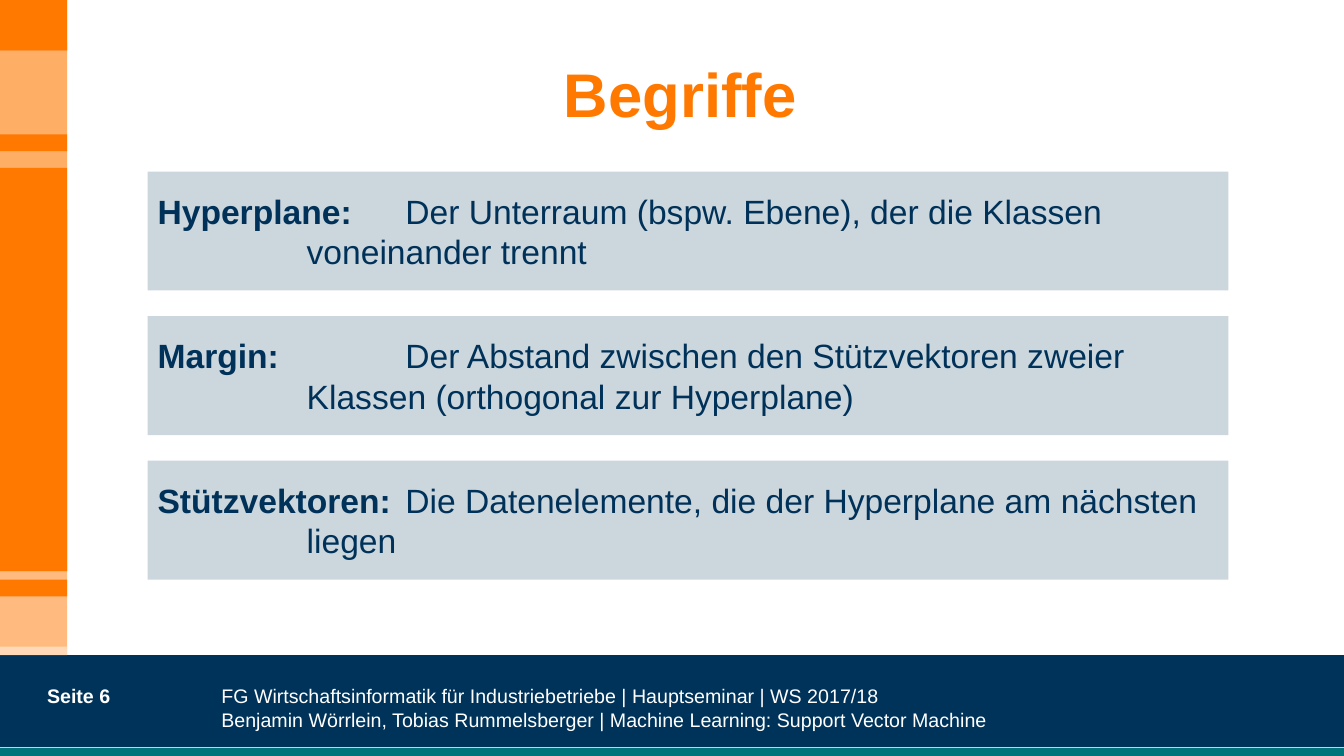
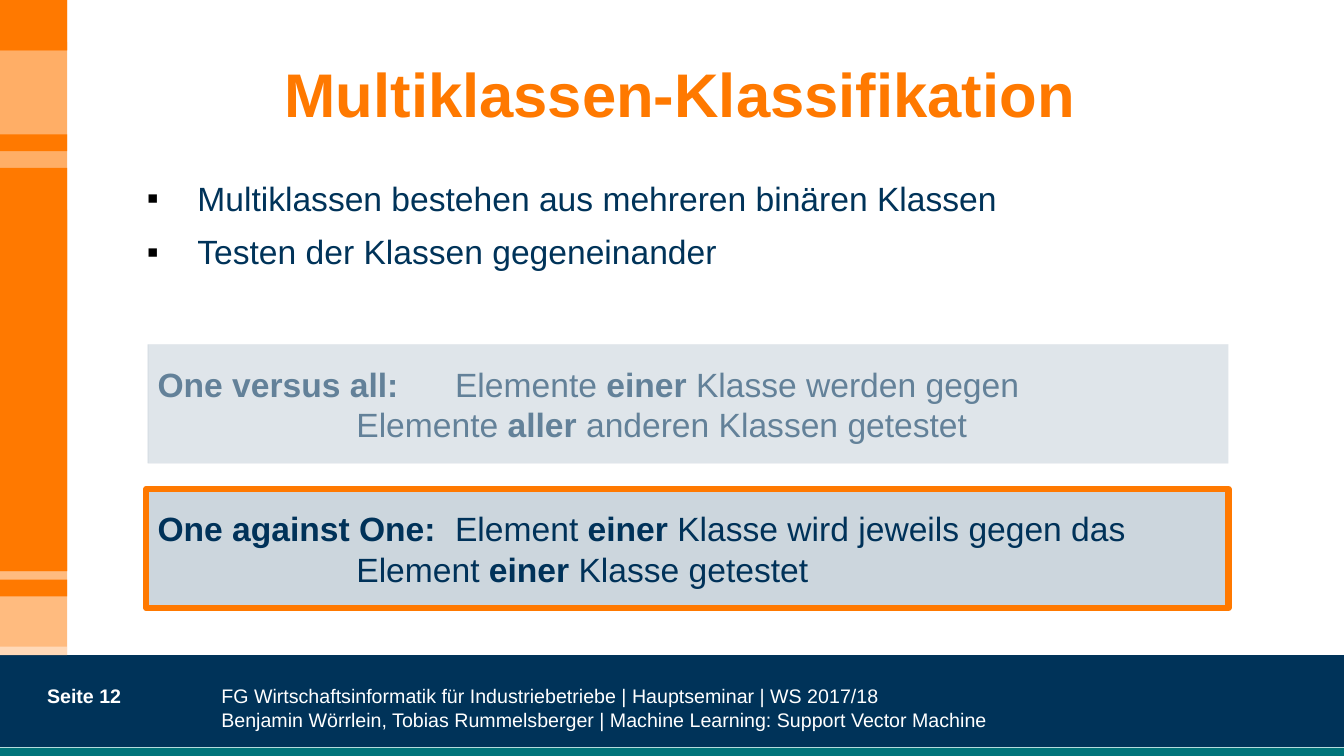
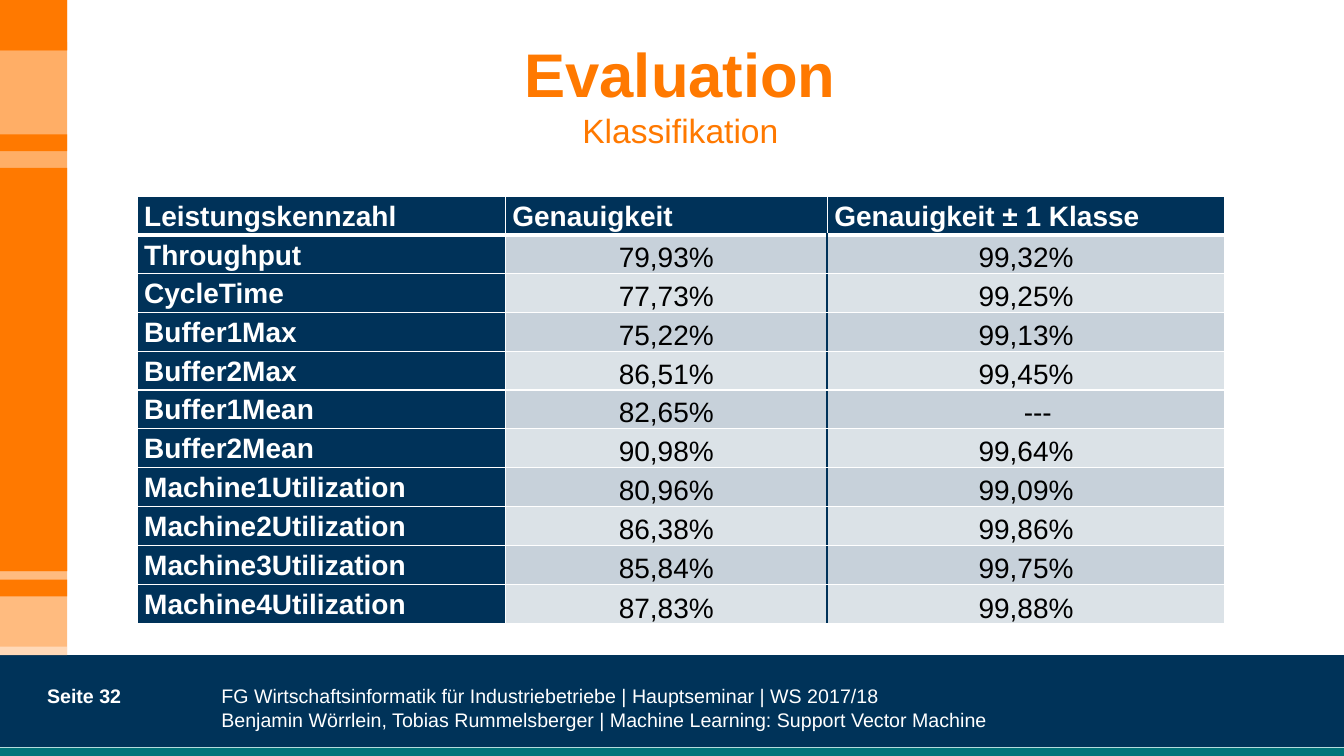
from dataclasses import dataclass

from lxml import etree
from pptx import Presentation
from pptx.dml.color import RGBColor
from pptx.enum.shapes import MSO_CONNECTOR, MSO_SHAPE
from pptx.enum.text import MSO_ANCHOR, MSO_AUTO_SIZE, PP_ALIGN
from pptx.oxml.ns import qn
from pptx.util import Pt

RECT = MSO_SHAPE.RECTANGLE
LINE = MSO_CONNECTOR.STRAIGHT
TOP, MID, LOW = MSO_ANCHOR.TOP, MSO_ANCHOR.MIDDLE, MSO_ANCHOR.BOTTOM
LEFT, CENTER, JUST = PP_ALIGN.LEFT, PP_ALIGN.CENTER, PP_ALIGN.JUSTIFY
FIXED = MSO_AUTO_SIZE.NONE


@dataclass(frozen=True)
class Theme:
    font: str = "Arial"
    orange: str = "FF7900"
    navy: str = "003359"
    ink: str = "003259"
    teal: str = "00747A"
    mint: str = "B4DCDC"
    white: str = "FFFFFF"
    black: str = "000000"
    title: int = 44
    body: int = 24
    cell: int = 20
    foot: int = 14


T = Theme()
WIDE, HIGH = 960, 540
SIDE = 48
BOX_X, BOX_W, BOX_H, STEP = 105.5, 772, 85, 103.3
FOOTER = (
    "FG Wirtschaftsinformatik für Industriebetriebe | Hauptseminar | WS 2017/18\n"
    "Benjamin Wörrlein, Tobias Rummelsberger | Machine Learning: Support Vector Machine"
)

# Side bands and footer bar: left, top, width, height, colour, opacity
BANDS = [
    (0, 0, SIDE, 408, T.orange, 60),
    (0, 468, WIDE, 72, T.navy, 100),
    (0, 150, SIDE, 72, T.orange, 100),
    (0, 222, SIDE, 246, T.orange, 50),
    (0, 120, SIDE, 288, T.orange, 100),
    (0, 30, SIDE, 6, T.orange, 50),
    (0, 462, SIDE, 6, T.white, 45),
    (0, 534, WIDE, 6, T.teal, 100),
    (0, 0, SIDE, 36, T.orange, 100),
    (0, 96, SIDE, 12, T.orange, 100),
    (0, 414, SIDE, 12, T.orange, 100),
]

TERMS = [
    "*Hyperplane:*\tDer Unterraum (bspw. Ebene), der die Klassen\n\tvoneinander trennt",
    "*Margin:*\t\tDer Abstand zwischen den Stützvektoren zweier\n"
    "\tKlassen (orthogonal zur Hyperplane)",
    "*Stützvektoren:*\tDie Datenelemente, die der Hyperplane am nächsten\n\tliegen",
]
MODES = [
    "*One versus all:*\tElemente *einer* Klasse werden gegen\n"
    "\tElemente *aller* anderen Klassen getestet",
    "*One against One:*\tElement *einer* Klasse wird jeweils gegen das\n"
    "\tElement *einer* Klasse getestet",
]
POINTS = [
    "Multiklassen bestehen aus mehreren binären Klassen",
    "Testen der Klassen gegeneinander",
]
SCORES = [
    ("Leistungskennzahl", "Genauigkeit", "Genauigkeit ± 1 Klasse"),
    ("Throughput", "79,93%", "99,32%"),
    ("CycleTime", "77,73%", "99,25%"),
    ("Buffer1Max", "75,22%", "99,13%"),
    ("Buffer2Max", "86,51%", "99,45%"),
    ("Buffer1Mean", "82,65%", "---"),
    ("Buffer2Mean", "90,98%", "99,64%"),
    ("Machine1Utilization", "80,96%", "99,09%"),
    ("Machine2Utilization", "86,38%", "99,86%"),
    ("Machine3Utilization", "85,84%", "99,75%"),
    ("Machine4Utilization", "87,83%", "99,88%"),
]


def rgb(hue):
    return RGBColor.from_string(hue)


def sub(node, tag, **attrs):
    return etree.SubElement(node, qn(tag), attrs)


def paint(owner, props, hue, alpha=100):
    """Fill a shape or cell; props is the XML node that holds the fill."""
    owner.fill.solid()
    owner.fill.fore_color.rgb = rgb(hue)
    if alpha < 100:
        color = props.xpath("./a:solidFill/a:srgbClr")[0]
        sub(color, "a:alpha", val=str(alpha * 1000))


def style(item, size, hue, bold=None):
    font = item.font
    font.name, font.size, font.bold = T.font, Pt(size), bold
    font.color.rgb = rgb(hue)


def write(para, text):
    """Fill a paragraph; words between asterisks are bold."""
    for row, line in enumerate(text.split("\n")):
        if row:
            para.add_line_break()
        for turn, part in enumerate(line.split("*")):
            if part:
                run = para.add_run()
                run.text = part
                if turn % 2:
                    run.font.bold = True


def rect(slide, x, y, w, h, hue=None, alpha=100):
    shape = slide.shapes.add_shape(RECT, Pt(x), Pt(y), Pt(w), Pt(h))
    shape.shadow.inherit = False
    shape.line.fill.background()
    if hue:
        paint(shape, shape.element.spPr, hue, alpha)
    else:
        shape.fill.background()
    return shape


def label(slide, x, y, w, h, text, bold=None):
    frame = slide.shapes.add_textbox(Pt(x), Pt(y), Pt(w), Pt(h)).text_frame
    frame.word_wrap = True
    para = frame.paragraphs[0]
    write(para, text)
    style(para, T.foot, T.white, bold)


def card(slide, y, text, stops):
    """Tinted box with a term and its meaning, aligned by tab stops."""
    frame = rect(slide, BOX_X, y, BOX_W, BOX_H, T.ink, 20).text_frame
    frame.word_wrap = True
    frame.vertical_anchor = MID
    para = frame.paragraphs[0]
    para.alignment = LEFT
    tabs = sub(para._p.get_or_add_pPr(), "a:tabLst")
    for stop in stops:
        sub(tabs, "a:tab", pos=str(Pt(stop)), algn="l")
    write(para, text)
    style(para, T.body, T.ink)


def bullets(slide, x, y, w, h, items):
    frame = slide.shapes.add_textbox(Pt(x), Pt(y), Pt(w), Pt(h)).text_frame
    frame.word_wrap = True
    frame.margin_left = frame.margin_right = 0
    frame.margin_top = frame.margin_bottom = 0
    for i, item in enumerate(items):
        para = frame.add_paragraph() if i else frame.paragraphs[0]
        props = para._p.get_or_add_pPr()
        props.set("marL", str(Pt(36)))
        props.set("indent", str(Pt(-36)))
        sub(sub(props, "a:buClr"), "a:srgbClr", val=T.black)
        sub(props, "a:buFont", typeface=T.font)
        sub(props, "a:buChar", char="▪")
        if i:
            para.space_before = Pt(9.5)
        write(para, item)
        style(para, T.body, T.navy)


def edges(cell, sides):
    """Cell borders; sides gives (colour, width) for left, right, top, bottom."""
    props = cell._tc.get_or_add_tcPr()
    for i, (side, (hue, width)) in enumerate(zip("LRTB", sides)):
        line = etree.Element(qn("a:ln" + side), w=str(Pt(width)))
        sub(sub(line, "a:solidFill"), "a:srgbClr", val=hue)
        props.insert(i, line)


def fill_cell(cell, row, col, text):
    head = row == 0 or col == 0
    thin, thick, rule = (T.white, 1), (T.white, 3), (T.ink, 1.5)
    shade = 100 if head else 22 if row % 2 else 14
    paint(cell, cell._tc.get_or_add_tcPr(), T.ink, shade)
    edges(cell, [
        rule if row and col == 2 else thin,
        rule if row and col == 1 else thin,
        thick if row == 1 else thin,
        thick if row == 0 else thin,
    ])
    cell.margin_left = cell.margin_right = Pt(5)
    cell.margin_top = cell.margin_bottom = 0
    cell.vertical_anchor = TOP if head else LOW
    para = cell.text_frame.paragraphs[0]
    para.alignment = JUST if head else CENTER
    para.line_spacing = 1.15
    if text == "---":
        para._p.get_or_add_pPr().set("marL", str(Pt(16.7)))
    write(para, text)
    style(para, T.cell, T.white if head else T.black, head)


def grid(slide, x, y, widths, heights, data):
    table = slide.shapes.add_table(
        len(data), len(widths), Pt(x), Pt(y), Pt(sum(widths)), Pt(sum(heights))
    ).table
    table.first_row = table.horz_banding = False
    for col, width in enumerate(widths):
        table.columns[col].width = Pt(width)
    for row, height in enumerate(heights):
        table.rows[row].height = Pt(height)
        for col, text in enumerate(data[row]):
            fill_cell(table.cell(row, col), row, col, text)


def dress(slide):
    """Draw the bands once and move them into the slide's layout."""
    parts = [rect(slide, *band) for band in BANDS]
    hair = slide.shapes.add_connector(LINE, 0, Pt(534), Pt(WIDE), Pt(534))
    hair.line.color.rgb = rgb(T.mint)
    hair.line.width = Pt(0.25)
    sub(hair.element.spPr, "a:effectLst")
    tree = slide.slide_layout.shapes.element
    for i, part in enumerate(parts + [hair]):
        part.element.xpath(".//p:cNvPr")[0].set("id", str(20 + i))
        tree.insert(2 + i, part.element)


def page(deck, number, title, under=None):
    """New slide with title, optional second line, and footer."""
    slide = deck.slides.add_slide(deck.slide_layouts[5])
    head = slide.shapes.title
    head.left, head.top, head.width, head.height = Pt(60.5), Pt(10), Pt(851), Pt(113)
    frame = head.text_frame
    frame.auto_size = FIXED
    frame.word_wrap = True
    frame.vertical_anchor = MID
    para = frame.paragraphs[0]
    para.alignment = CENTER
    write(para, title)
    style(para, T.title, T.orange, True)
    if under:
        para.add_line_break()
        run = para.add_run()
        run.text = under
        run.font.size, run.font.bold = Pt(T.body), False
    label(slide, 151, 485, 574, 50, FOOTER)
    label(slide, 26.5, 485, 120, 30, f"Seite {number}", True)
    return slide


def main():
    deck = Presentation()
    deck.slide_width, deck.slide_height = Pt(WIDE), Pt(HIGH)

    # Terms
    slide = page(deck, 6, "Begriffe")
    dress(slide)
    for i, term in enumerate(TERMS):
        card(slide, 122.5 + i * STEP, term, (106.5, 177))

    # Multiclass modes: the first is faded, the second is framed
    slide = page(deck, 12, "Multiklassen-Klassifikation")
    bullets(slide, 105, 127, 806, 80, POINTS)
    first = 246
    for i, mode in enumerate(MODES):
        card(slide, first + i * STEP, mode, (142, 212.5))
    rect(slide, BOX_X + 0.5, first, BOX_W, BOX_H, T.white, 39)
    ring = rect(slide, BOX_X - 1, first + STEP, BOX_W + 1, BOX_H)
    ring.line.color.rgb = rgb(T.orange)
    ring.line.width = Pt(4.5)

    # Scores
    slide = page(deck, 32, "Evaluation", "Klassifikation")
    heights = [28] + [25.7] * 6 + [28] * 4
    grid(slide, 98, 140, (263, 230, 284), heights, SCORES)

    deck.save("out.pptx")


if __name__ == "__main__":
    main()
